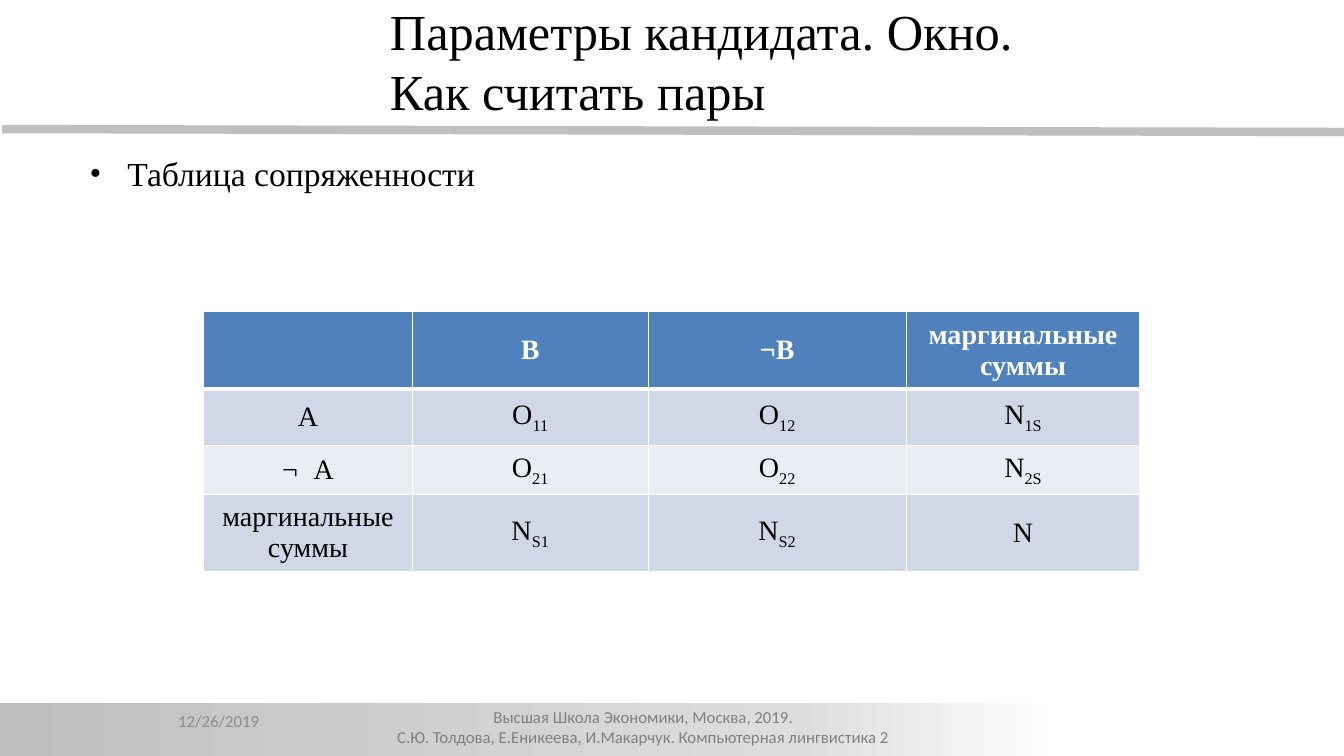
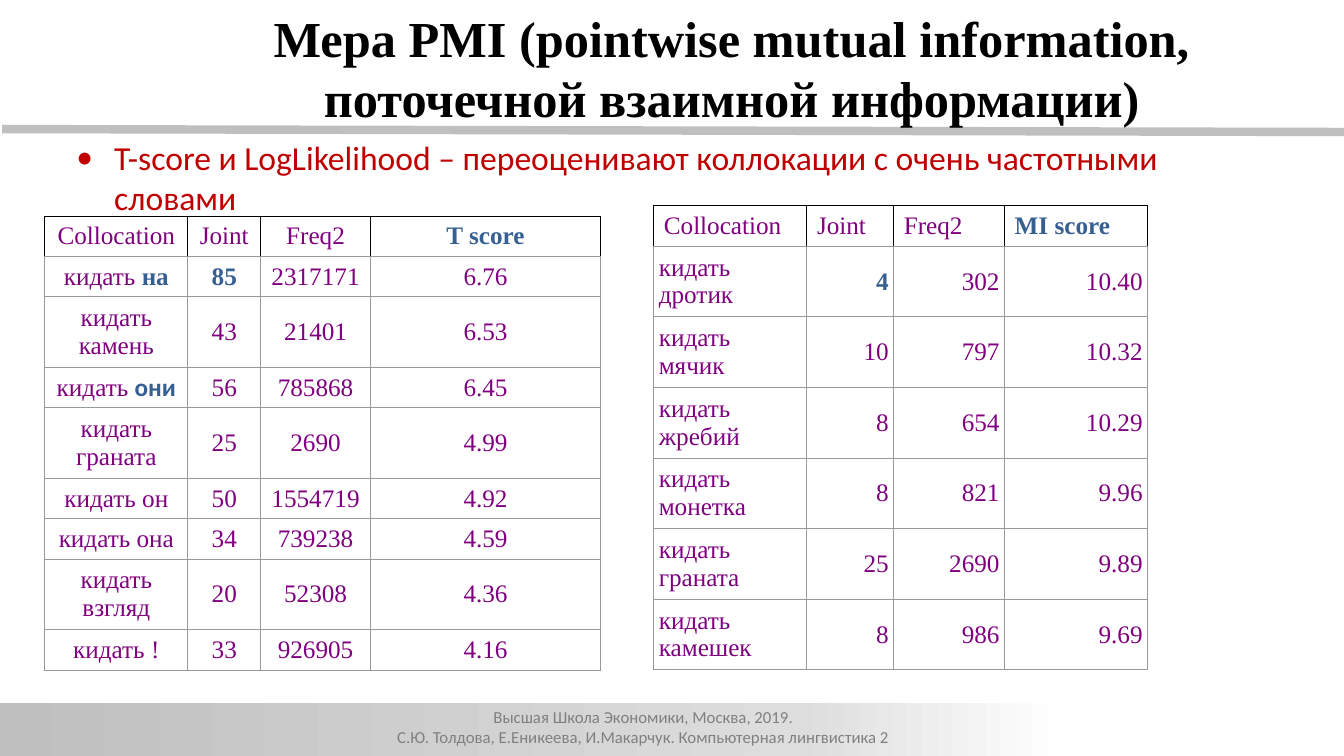
"""Builds two lecture slides on collocation measures."""
from dataclasses import dataclass
from typing import NamedTuple

from lxml.etree import SubElement
from pptx import Presentation
from pptx.dml.color import RGBColor
from pptx.enum.shapes import MSO_CONNECTOR, MSO_SHAPE
from pptx.enum.text import MSO_ANCHOR as ANCHOR, PP_ALIGN as ALIGN
from pptx.oxml.ns import qn
from pptx.util import Pt


class Style(NamedTuple):
    size: float
    color: str
    font: str = "Times New Roman"
    bold: bool = False
    baseline: int = 0


class Bulleted(NamedTuple):
    mark: str
    text: str
    indent: float


@dataclass(frozen=True)
class Theme:
    rule: str = "BFBFBF"
    band: tuple = ((0, "BFBFBF"), (75, "DDDDDD"), (100, "FFFFFF"))
    header_fill: str = "4F81BD"
    stripes: tuple = ("D0D8E8", "E9EDF4")
    paper: str = "FFFFFF"
    white_line: tuple = ("FFFFFF", 1)
    thick_line: tuple = ("FFFFFF", 3)
    grey_line: tuple = ("999999", 0.75)
    black_line: tuple = ("000000", 0.75)
    title: Style = Style(36, "000000")
    bold_title: Style = Style(36, "000000", bold=True)
    point: Style = Style(24, "000000")
    warning: Style = Style(24, "C00000", "Calibri")
    footer: Style = Style(12, "808080", "Calibri")
    date: Style = Style(12, "8C8C8C", "Calibri")
    count_head: Style = Style(20, "FFFFFF", bold=True)
    count: Style = Style(20, "000000")
    index: Style = Style(20, "000000", baseline=-25000)
    score: Style = Style(18, "800080")
    accent: Style = Style(18, "376092", bold=True)
    accent_sans: Style = Style(18, "376092", "Calibri", True)


THEME = Theme()


def observed(letter, index):
    return (letter, THEME.count), (index, THEME.index)


def strong(text):
    return ((text, THEME.accent),)


def pair(word, style):
    return ("кидать ", THEME.score), (word, style)


FOOTER = ["Высшая Школа Экономики, Москва, 2019.",
          "С.Ю. Толдова, Е.Еникеева, И.Макарчук. Компьютерная лингвистика 2"]
DATE = ["12/26/2019"]
WINDOW_TITLE = ["Параметры кандидата. Окно.", "Как считать пары"]
WINDOW_POINT = [Bulleted("•", "Таблица сопряженности", 27)]
PMI_TITLE = ["Мера PMI (pointwise mutual information, поточечной взаимной информации)"]
PMI_POINT = [Bulleted("•", "T-score и LogLikelihood – переоценивают коллокации "
                           "с очень частотными словами", 27)]

CONTINGENCY = [
    ["", "B", "¬B", "маргинальные суммы"],
    ["A", observed("O", "11"), observed("O", "12"), observed("N", "1S")],
    [Bulleted("¬", "A", 22.5), observed("O", "21"), observed("O", "22"), observed("N", "2S")],
    ["маргинальные суммы", observed("N", "S1"), observed("N", "S2"), "N"],
]
T_SCORES = [
    ["Collocation", "Joint", "Freq2", strong("T score")],
    [pair("на", THEME.accent), strong("85"), "2317171", "6.76"],
    ["кидать камень", "43", "21401", "6.53"],
    [pair("они", THEME.accent_sans), "56", "785868", "6.45"],
    ["кидать граната", "25", "2690", "4.99"],
    ["кидать он", "50", "1554719", "4.92"],
    ["кидать она", "34", "739238", "4.59"],
    ["кидать взгляд", "20", "52308", "4.36"],
    ["кидать !", "33", "926905", "4.16"],
]
MI_SCORES = [
    ["Collocation", "Joint", "Freq2", strong("MI score")],
    ["кидать дротик", strong("4"), "302", "10.40"],
    ["кидать мячик", "10", "797", "10.32"],
    ["кидать жребий", "8", "654", "10.29"],
    ["кидать монетка", "8", "821", "9.96"],
    ["кидать граната", "25", "2690", "9.89"],
    ["кидать камешек", "8", "986", "9.69"],
]


@dataclass(frozen=True)
class TableLook:
    head: Style
    body: Style
    head_fill: str
    stripes: tuple
    line: tuple
    head_line: tuple
    head_base: tuple
    body_margin: float


COUNT_LOOK = TableLook(THEME.count_head, THEME.count, THEME.header_fill, THEME.stripes,
                       THEME.white_line, THEME.white_line, THEME.thick_line, 7.2)
SCORE_LOOK = TableLook(THEME.score, THEME.score, THEME.paper, (THEME.paper,),
                       THEME.grey_line, THEME.black_line, THEME.grey_line, 3.6)


def rgb(color):
    return RGBColor.from_string(color)


def write(frame, paragraphs, style, align=ALIGN.LEFT):
    frame.text = "\n".join([""] * len(paragraphs))
    for paragraph, content in zip(frame.paragraphs, paragraphs):
        paragraph.alignment = align
        if isinstance(content, Bulleted):
            props = paragraph._p.get_or_add_pPr()
            props.set("marL", str(Pt(content.indent)))
            props.set("indent", str(-Pt(content.indent)))
            SubElement(props, qn("a:buFont")).set("typeface", style.font)
            SubElement(props, qn("a:buChar")).set("char", content.mark)
            content = content.text
        runs = ((content, style),) if isinstance(content, str) else content
        for text, look in runs:
            run = paragraph.add_run()
            run.text = text
            run.font.size, run.font.name, run.font.bold = Pt(look.size), look.font, look.bold
            run.font.color.rgb = rgb(look.color)
            if look.baseline:
                run._r.get_or_add_rPr().set("baseline", str(look.baseline))


def add_text(slide, box, paragraphs, style, align=ALIGN.LEFT, anchor=ANCHOR.TOP):
    frame = slide.shapes.add_textbox(*map(Pt, box)).text_frame
    frame.word_wrap = True
    frame.vertical_anchor = anchor
    write(frame, paragraphs, style, align)


def draw_borders(cell, sides):
    props = cell._tc.get_or_add_tcPr()
    for side in "LRTB":
        color, width = sides[side]
        edge = SubElement(props, qn(f"a:ln{side}"))
        edge.set("w", str(Pt(width)))
        SubElement(SubElement(edge, qn("a:solidFill")), qn("a:srgbClr")).set("val", color)


def add_table(slide, left, top, widths, heights, rows, look, head_align, body_aligns):
    table = slide.shapes.add_table(len(rows), len(widths), Pt(left), Pt(top),
                                   Pt(sum(widths)), Pt(sum(heights))).table
    table.first_row = table.horz_banding = False
    for column, width in zip(table.columns, widths):
        column.width = Pt(width)
    for r, (row, height) in enumerate(zip(rows, heights)):
        table.rows[r].height = Pt(height)
        line = look.line if r else look.head_line
        sides = dict.fromkeys("LRTB", line)
        if r < 2:
            sides["T" if r else "B"] = look.head_base
        for c, content in enumerate(row):
            cell = table.cell(r, c)
            draw_borders(cell, sides)
            cell.fill.solid()
            cell.fill.fore_color.rgb = rgb(
                look.stripes[(r - 1) % len(look.stripes)] if r else look.head_fill)
            cell.vertical_anchor = ANCHOR.MIDDLE
            cell.margin_left = cell.margin_right = Pt(look.body_margin if r else 7.2)
            write(cell.text_frame, [content], look.body if r else look.head,
                  body_aligns[c] if r else head_align)


def add_lecture_slide(deck):
    slide = deck.slides.add_slide(deck.slide_layouts[6])
    rule = slide.shapes.add_connector(MSO_CONNECTOR.STRAIGHT,
                                      Pt(1.5), Pt(92.2), Pt(961), Pt(94.3))
    rule.line.color.rgb = rgb(THEME.rule)
    rule.line.width = Pt(6)
    SubElement(rule._element.spPr, qn("a:effectLst"))

    band = slide.shapes.add_shape(MSO_SHAPE.RECTANGLE, Pt(-0.7), Pt(502), Pt(760), Pt(41))
    band.shadow.inherit = False
    band.line.fill.background()
    band.fill.gradient()
    band.fill.gradient_angle = 0
    stops = band._element.spPr.find(".//" + qn("a:gsLst"))
    for stop in list(stops):
        stops.remove(stop)
    for percent, color in THEME.band:
        stop = SubElement(stops, qn("a:gs"))
        stop.set("pos", str(percent * 1000))
        SubElement(stop, qn("a:srgbClr")).set("val", color)

    add_text(slide, (183, 501, 553, 32.4), FOOTER, THEME.footer, ALIGN.CENTER)
    return slide


def build_window_slide(deck):
    slide = add_lecture_slide(deck)
    add_text(slide, (271.4, 3.6, 526.3, 79.2), WINDOW_TITLE, THEME.title, anchor=ANCHOR.MIDDLE)
    add_text(slide, (56.9, 105.8, 839.5, 363), WINDOW_POINT, THEME.point)
    add_text(slide, (120.2, 500.4, 167.8, 28.8), DATE, THEME.date, anchor=ANCHOR.MIDDLE)
    add_table(slide, 145.5, 222.5, (149, 168.5, 184.3, 167), (52, 40.7, 33.8, 51.2),
              CONTINGENCY, COUNT_LOOK, ALIGN.CENTER, [ALIGN.CENTER] * 4)


def build_pmi_slide(deck):
    slide = add_lecture_slide(deck)
    single, double = 27.2, 47.2
    add_text(slide, (47.5, 94.3, 839.5, 63.4), PMI_POINT, THEME.warning)
    add_text(slide, (185, 0.7, 675.4, 95), PMI_TITLE, THEME.bold_title,
             ALIGN.CENTER, ANCHOR.MIDDLE)
    t_heights = [single, single, double, 28.4, double, single, single, double, single]
    add_table(slide, 32, 154.3, (102.2, 52, 78.5, 164.3), t_heights,
              T_SCORES, SCORE_LOOK, ALIGN.CENTER, [ALIGN.CENTER] * 4)
    mi_heights = [single] + [double] * (len(MI_SCORES) - 1)
    add_table(slide, 467, 147, (109.4, 62, 79.2, 102.2), mi_heights,
              MI_SCORES, SCORE_LOOK, ALIGN.LEFT, [ALIGN.LEFT] + [ALIGN.RIGHT] * 3)


def main():
    deck = Presentation()
    deck.slide_width, deck.slide_height = Pt(960), Pt(540)
    build_window_slide(deck)
    build_pmi_slide(deck)
    deck.save("out.pptx")


if __name__ == "__main__":
    main()
